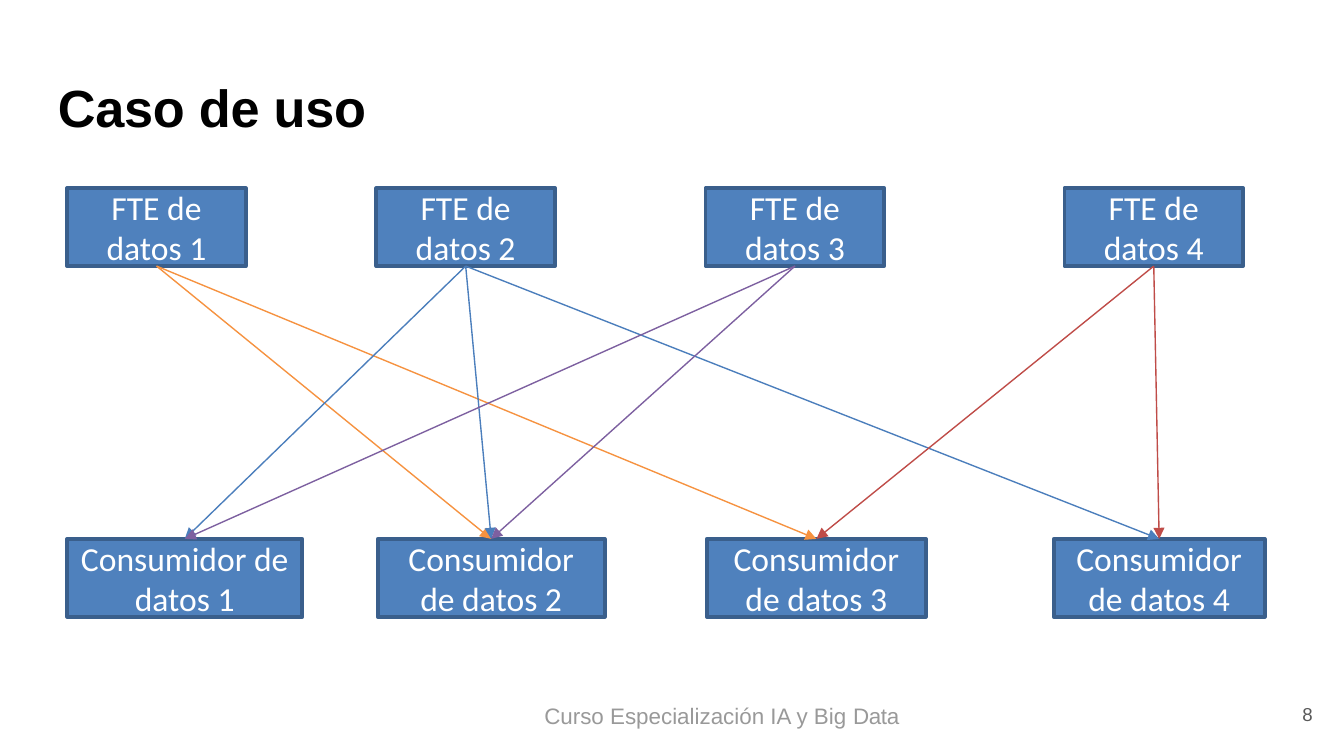
from lxml.etree import SubElement
from pptx import Presentation
from pptx.dml.color import RGBColor
from pptx.enum.shapes import MSO_CONNECTOR, MSO_SHAPE
from pptx.enum.text import MSO_ANCHOR, PP_ALIGN
from pptx.oxml.ns import qn
from pptx.util import Inches, Pt

HUES = {
    "ink": "000000", "page": "595959", "foot": "999999", "white": "FFFFFF",
    "fill": "4F81BD", "edge": "3A5F8C",
    "orange": "F69240", "blue": "4B7EBC", "violet": "7D60A0", "red": "BF4C48",
}


def color(name):
    return RGBColor.from_string(HUES[name])


def write(para, text, font="Arial", size=12, hue="ink", bold=False, space=0):
    run = para.add_run()
    run.text = text
    run.font.name = font
    run.font.size = Pt(size)
    run.font.bold = bold
    run.font.color.rgb = color(hue)
    if space:
        run.font._element.set("spc", str(round(space * 100)))


class Deck:
    def __init__(self, width, height):
        self.show = Presentation()
        self.show.slide_width = Inches(width)
        self.show.slide_height = Inches(height)
        self.slide = self.show.slides.add_slide(self.show.slide_layouts[6])

    def label(self, spot, parts, top=0, before=0, lead=None, indent=0.01, **style):
        box = self.slide.shapes.add_textbox(*map(Inches, spot))
        frame = box.text_frame
        frame.word_wrap = True
        frame.margin_left = frame.margin_right = frame.margin_bottom = 0
        frame.margin_top = Inches(top)
        para = frame.paragraphs[0]
        para.space_before = Pt(before)
        if lead:
            para.line_spacing = Pt(lead)
        para._p.get_or_add_pPr().set("marL", str(Inches(indent)))
        for text, space in parts:
            write(para, text, space=space, **style)

    def box(self, left, top, width, text):
        spot = map(Inches, (left, top, width, 0.58))
        shape = self.slide.shapes.add_shape(MSO_SHAPE.RECTANGLE, *spot)
        shape.shadow.inherit = False
        shape.fill.solid()
        shape.fill.fore_color.rgb = color("fill")
        shape.line.color.rgb = color("edge")
        shape.line.width = Pt(2)
        frame = shape.text_frame
        frame.word_wrap = True
        frame.vertical_anchor = MSO_ANCHOR.MIDDLE
        para = frame.paragraphs[0]
        para.alignment = PP_ALIGN.CENTER
        write(para, text, font="Calibri", size=18, hue="white")
        return shape

    def arrow(self, start, end, hue):
        link = self.slide.shapes.add_connector(MSO_CONNECTOR.STRAIGHT, 0, 0, 0, 0)
        link.begin_connect(start, 2)
        link.end_connect(end, 0)
        link.line.color.rgb = color(hue)
        link.line.width = Pt(0.75)
        SubElement(link.line._get_or_add_ln(), qn("a:tailEnd"), type="triangle")
        SubElement(link._element.spPr, qn("a:effectLst"))


def main():
    deck = Deck(10, 10 * 9 / 16)
    deck.label((0.42, 0.55, 2.38, 0.49), [("Caso de uso", -0.1)],
               top=0.01, before=1, size=28, bold=True)
    deck.label((9.65, 5.23, 0.17, 0.18), [("8", 0)],
               before=0.1, indent=0.04, size=10, hue="page")
    deck.label((4.04, 5.23, 2.68, 0.21),
               [("Curso Especialización IA y Big ", 0), ("Data", -0.2)],
               lead=14.2, hue="foot")

    feeds = [deck.box(left, 1.4, 1.33, f"FTE de datos {num}")
             for num, left in enumerate((0.5, 2.8, 5.25, 7.92), 1)]
    spans = ((0.5, 1.75), (2.81, 1.69), (5.26, 1.63), (7.84, 1.57))
    users = [deck.box(left, 4.01, width, f"Consumidor de datos {num}")
             for num, (left, width) in enumerate(spans, 1)]

    links = (("orange", (2, 3)), ("blue", (1, 2, 4)),
             ("violet", (2, 1)), ("red", (3, 4)))
    for feed, (hue, goals) in zip(feeds, links):
        for goal in goals:
            deck.arrow(feed, users[goal - 1], hue)

    deck.show.save("out.pptx")


if __name__ == "__main__":
    main()
